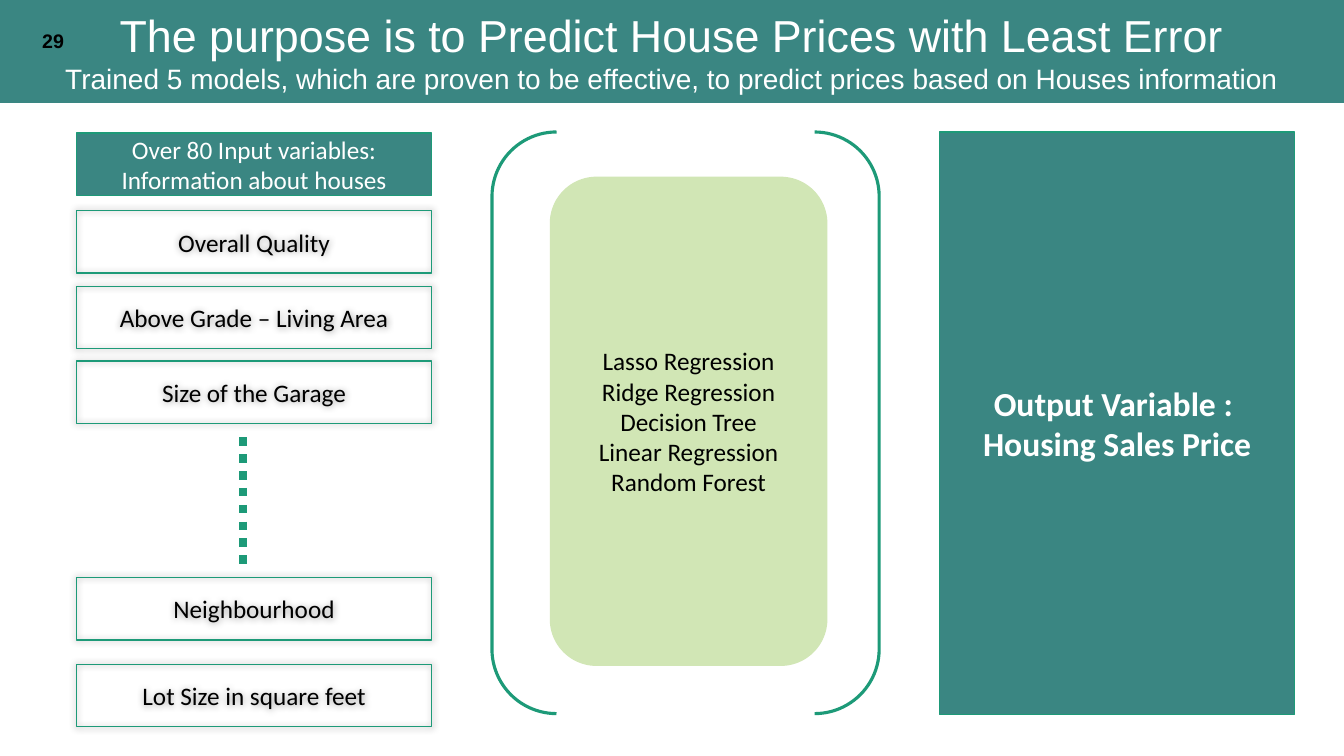
from dataclasses import dataclass

from lxml import etree
from pptx import Presentation
from pptx import util as u
from pptx.dml.color import RGBColor
from pptx.enum import dml, shapes, text
from pptx.oxml import ns

SHAPE = shapes.MSO_SHAPE


@dataclass(frozen=True)
class Theme:
    teal: str = "3A8682"
    green: str = "1D9A78"
    pale: str = "D1E6B5"
    white: str = "FFFFFF"
    black: str = "000000"
    head_font: str = "Arial"
    body_font: str = "Calibri"
    title: int = 32
    output: int = 24
    subtitle: int = 20
    body: int = 18
    number: int = 14


class SlideBuilder:
    def __init__(self, slide, theme):
        self.s, self.theme = slide, theme

    def add_lines(self, sp, lines, color, align=text.PP_ALIGN.CENTER, **fmt):
        """Fill a shape with paragraphs; each line is (text, size)."""
        tf = sp.text_frame
        frame = {"word_wrap": True, "auto_size": text.MSO_AUTO_SIZE.NONE,
                 "vertical_anchor": text.MSO_ANCHOR.MIDDLE}
        for name, value in frame.items():
            setattr(tf, name, value)
        for i, (line, size) in enumerate(lines):
            p = tf.add_paragraph() if i else tf.paragraphs[0]
            p.alignment = align
            r = p.add_run()
            r.text = line
            style = {"name": self.theme.body_font, "size": u.Pt(size), **fmt}
            for name, value in style.items():
                setattr(r.font, name, value)
            r.font.color.rgb = RGBColor.from_string(color)

    def paint(self, sp, fill):
        if fill:
            sp.fill.solid()
            sp.fill.fore_color.rgb = RGBColor.from_string(fill)
        else:
            sp.fill.background()

    def stroke(self, sp, color, width):
        sp.line.color.rgb = RGBColor.from_string(color)
        sp.line.width = u.Pt(width)

    def title(self, box, lines):
        sp = self.s.shapes.title
        for name, value in zip(("left", "top", "width", "height"), box):
            setattr(sp, name, u.Inches(value))
        self.paint(sp, self.theme.teal)
        self.add_lines(sp, lines, self.theme.white, name=self.theme.head_font)

    def shape(self, kind, box, fill=None, line=None, width=1):
        sp = self.s.shapes.add_shape(kind, *map(u.Inches, box))
        sp.shadow.inherit = False
        self.paint(sp, fill)
        self.stroke(sp, line or self.theme.green, width)
        return sp

    def glow(self, sp):
        """Add a soft, centred shadow."""
        effects = sp._element.spPr.find(ns.qn("a:effectLst"))
        shadow = etree.SubElement(effects, ns.qn("a:outerShdw"),
                                  blurRad=str(u.Pt(5)), dist="0", dir="0")
        color = etree.SubElement(shadow, ns.qn("a:srgbClr"), val=self.theme.black)
        etree.SubElement(color, ns.qn("a:alpha"), val="40000")

    def dotted_line(self, x, top, bottom):
        line = self.s.shapes.add_connector(
            shapes.MSO_CONNECTOR.STRAIGHT, *map(u.Inches, (x, top, x, bottom)))
        self.stroke(line, self.theme.green, 6)
        line.line.dash_style = dml.MSO_LINE.ROUND_DOT
        etree.SubElement(line._element.spPr, ns.qn("a:effectLst"))

    def label(self, box, line, size, **fmt):
        sp = self.s.shapes.add_textbox(*map(u.Inches, box))
        self.add_lines(sp, [(line, size)], self.theme.black,
                       text.PP_ALIGN.LEFT, **fmt)


def main():
    prs = Presentation()
    prs.slide_width, prs.slide_height = u.Inches(13.33), u.Inches(7.5)
    theme = Theme()
    slide = SlideBuilder(prs.slides.add_slide(prs.slide_layouts[5]), theme)

    slide.title((0, 0, 13.33, 1.02), [
        ("The purpose is to Predict House Prices with Least Error", theme.title),
        ("Trained 5 models, which are proven to be effective, to predict prices "
         "based on Houses information", theme.subtitle),
    ])

    left, width, height = 0.76, 3.52, 0.62
    header = slide.shape(SHAPE.RECTANGLE, (left, 1.32, width, height), theme.teal)
    slide.add_lines(header, [("Over 80 Input variables:", theme.body),
                             ("Information about houses", theme.body)], theme.white)
    inputs = {
        "Overall Quality": 2.09,
        "Above Grade – Living Area": 2.84,
        "Size of the Garage": 3.58,
        "Neighbourhood": 5.73,
        "Lot Size in square feet": 6.59,
    }
    for name, top in inputs.items():
        card = slide.shape(SHAPE.RECTANGLE, (left, top, width, height))
        slide.glow(card)
        slide.add_lines(card, [(name, theme.body)], theme.black)
    slide.dotted_line(2.41, 4.34, 5.64)

    slide.shape(SHAPE.DOUBLE_BRACKET, (4.88, 1.31, 3.84, 5.77), width=2.25)
    output = slide.shape(SHAPE.RECTANGLE, (9.32, 1.31, width, 5.78), theme.teal)
    slide.add_lines(output, [("Output Variable : ", theme.output),
                             ("Housing Sales Price", theme.output)],
                    theme.white, bold=True)

    models = slide.shape(SHAPE.FLOWCHART_ALTERNATE_PROCESS,
                         (5.46, 1.76, 2.74, 4.84), theme.pale, theme.pale)
    names = ("Lasso Regression", "Ridge Regression", "Decision Tree",
             "Linear Regression", "Random Forest")
    slide.add_lines(models, [(name, theme.body) for name in names], theme.black)

    slide.label((0.32, 0.2, 3, 0.4), "29", theme.number,
                name=theme.head_font, bold=True)
    prs.save("out.pptx")


if __name__ == "__main__":
    main()
